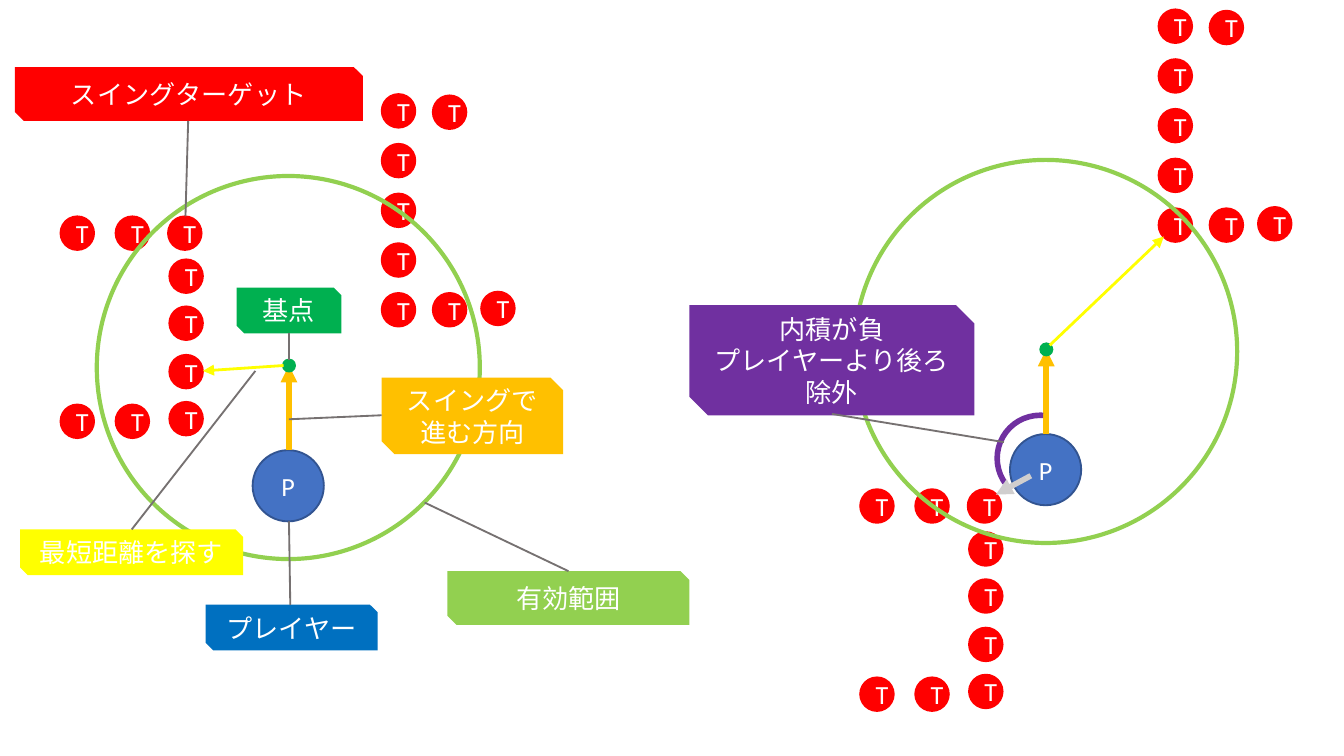
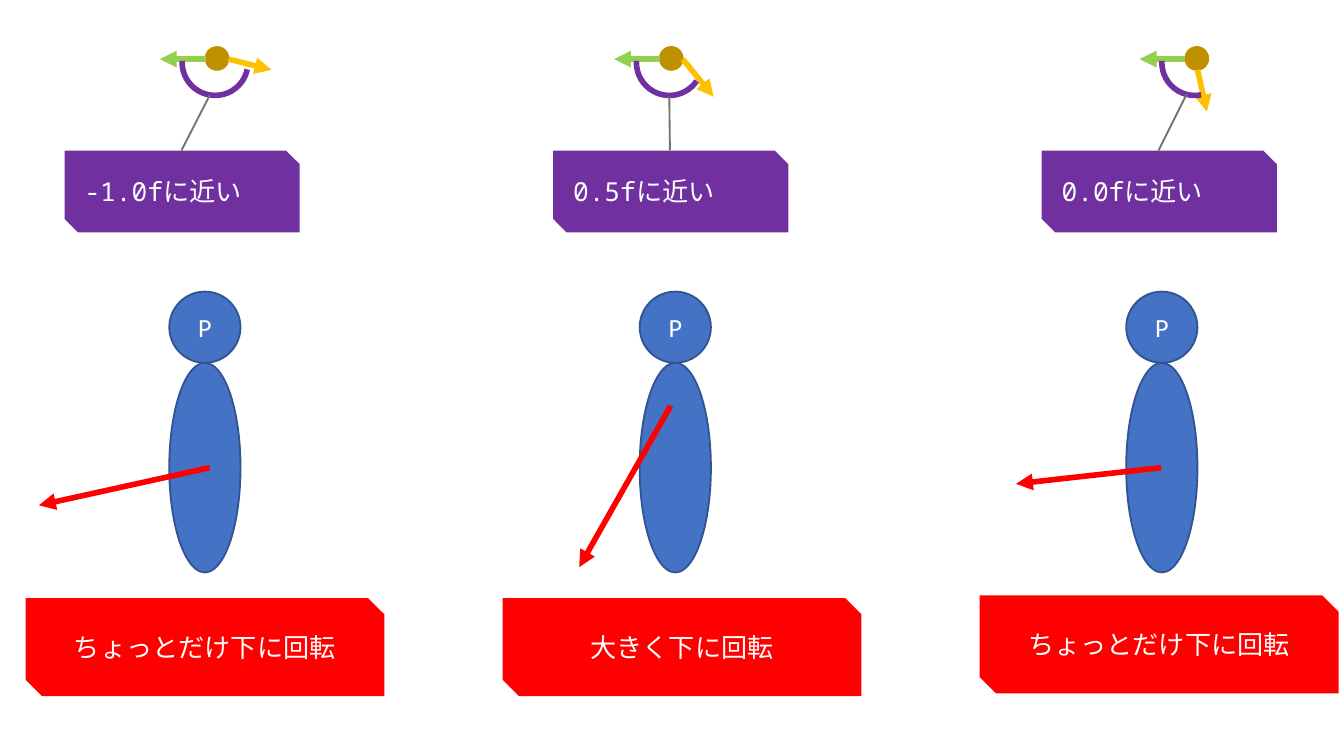
import pptx
import pptx.util
import pptx.dml.color
import pptx.enum.shapes
import pptx.enum.text
import pptx.oxml

PX = 4572  # EMU per px, 200 px to the inch
HUES = {
    "white": "FFFFFF", "blue": "4472C4", "navy": "325491", "red": "FF0000",
    "gold": "FFC000", "lime": "92D050", "green": "00B050", "yellow": "FFFF00",
    "azure": "0070C0", "purple": "7030A0", "gray": "767171",
    "silver": "D0CECE", "brown": "BF9000",
}
SHAPE = pptx.enum.shapes.MSO_SHAPE
ALIGN = pptx.enum.text.PP_ALIGN
SPACE = 'xmlns:a="http://schemas.openxmlformats.org/drawingml/2006/main"'


def hue(name):
    return pptx.dml.color.RGBColor.from_string(HUES[name])


class Board:
    """Holds the style and the current slide."""
    sans = "Calibri"
    mono = "Noto Sans Mono"
    size = 14

    def __init__(self, wide, high):
        self.deck = pptx.Presentation()
        self.deck.slide_width = wide * PX
        self.deck.slide_height = high * PX
        self.slide = None

    def page(self):
        self.slide = self.deck.slides.add_slide(self.deck.slide_layouts[6])

    def shape(self, kind, box, fill=None, edge=None, width=1):
        item = self.slide.shapes.add_shape(kind, *(v * PX for v in box))
        item.shadow.inherit = False
        if fill:
            item.fill.solid()
            item.fill.fore_color.rgb = hue(fill)
        else:
            item.fill.background()
        if edge:
            item.line.color.rgb = hue(edge)
            item.line.width = pptx.util.Pt(width)
        else:
            item.line.fill.background()
        return item

    def letter(self, item, text, font=None, align=ALIGN.CENTER):
        frame = item.text_frame
        frame.word_wrap = True
        frame.vertical_anchor = pptx.enum.text.MSO_ANCHOR.MIDDLE
        frame.text = text
        for para in frame.paragraphs:
            para.alignment = align
            para.font.name = font or self.sans
            para.font.size = pptx.util.Pt(self.size)
            para.font.color.rgb = hue("white")

    def disc(self, box, fill, edge, text="", width=1):
        item = self.shape(SHAPE.FLOWCHART_CONNECTOR, box, fill, edge, width)
        if text:
            self.letter(item, text)

    def label(self, box, fill, text, font=None, align=ALIGN.CENTER):
        item = self.shape(SHAPE.SNIP_2_DIAG_RECTANGLE, box, fill)
        self.letter(item, text, font, align)

    def arc(self, box, start, end):
        item = self.shape(SHAPE.ARC, box, None, "purple", 3)
        # Angles are stored in 60000ths of a degree, scaled by 100000
        item.adjustments[0] = start * 0.6
        item.adjustments[1] = end * 0.6

    def line(self, start, end, color="gray", width=1, arrow=False):
        item = self.slide.shapes.add_connector(
            pptx.enum.shapes.MSO_CONNECTOR.STRAIGHT,
            *(v * PX for v in (*start, *end)))
        item.line.color.rgb = hue(color)
        item.line.width = pptx.util.Pt(width)
        props = item._element.spPr
        if arrow:
            tip = pptx.oxml.parse_xml(f'<a:tailEnd {SPACE} type="triangle"/>')
            props.ln.append(tip)
        props.append(pptx.oxml.parse_xml(f"<a:effectLst {SPACE}/>"))

    def arrow(self, start, end, color, width=3):
        self.line(start, end, color, width, True)

    def person(self, left, top):
        self.disc((left, top, 106, 106), "blue", "navy", "P")

    def targets(self, spots, dx, dy):
        for x, y in spots:
            self.disc((x + dx, y + dy, 50, 50), "red", "red", "T")


# Target groups: a bracket of nine and a hook of eight
BRACKET = [(252, y) for y in (386, 456, 528, 598)] + [
    (172, 602), (90, 602), (250, 322), (172, 322), (90, 322)]
HOOK = [(568, 436 - 74 * i) for i in range(5)] + [
    (644, 142), (644, 436), (716, 434)]


def scene(board, move, bracket, hook, seek):
    """Player, targets, range ring and the nearest-target arrow."""
    dx, dy = move
    board.person(376 + dx, 670 + dy)
    board.targets(BRACKET, *bracket)
    board.targets(HOOK, *hook)
    board.arrow((430 + dx, 670 + dy), (430 + dx, 544 + dy), "gold")
    board.disc((144 + dx, 262 + dy, 570, 570), None, "lime", width=2.25)
    board.disc((421 + dx, 535 + dy, 18, 18), "green", "green")
    board.arrow(*seek, "yellow", 1.5)


def swing(board):
    board.page()
    # Left scene with its labels
    scene(board, (0, 0), (0, 0), (0, 0), ((422, 544), (302, 552)))
    for box, fill, text in [
            ((306, 900, 256, 68), "azure", "プレイヤー"),
            ((22, 100, 518, 80), "red", "スイングターゲット"),
            ((568, 562, 270, 114), "gold", "スイングで進む方向"),
            ((352, 428, 156, 68), "green", "基点"),
            ((30, 788, 332, 68), "yellow", "最短距離を探す"),
            ((666, 850, 360, 80), "lime", "有効範囲")]:
        board.label(box, fill, text)
    for start, end in [
            ((568, 618), (430, 624)), ((430, 776), (432, 900)),
            ((380, 552), (196, 788)), ((276, 322), (280, 180)),
            ((430, 536), (430, 496)), ((846, 850), (632, 748))]:
        board.line(start, end)

    # Right scene with the excluded angle
    scene(board, (1127, -24), (1190, 406), (1156, -126),
          ((1562, 514), (1732, 352)))
    board.arc((1484, 618, 128, 128), 145.16, 274.01)
    board.label((1026, 454, 424, 164), "purple",
                "内積が負\nプレイヤーより後ろ除外")
    board.line((1494, 658), (1238, 616))
    board.arrow((1534, 708), (1482, 736), "silver")


# Each case: body left, hub left, gold arrow, arc start, value,
# leader end, red arrow, note top, note text
CASES = [
    (252, 306, ((340, 88), (404, 104)), 12.16, "-1.0f", (312, 142),
     ((312, 696), (58, 752)), 890, "ちょっとだけ下に回転"),
    (952, 982, ((1016, 88), (1062, 144)), 34.09, "0.5f", (996, 144),
     ((998, 604), (862, 844)), 890, "大きく下に回転"),
    (1676, 1764, ((1782, 104), (1796, 166)), 78.94, "0.0f", (1766, 140),
     ((1728, 696), (1512, 720)), 886, "ちょっとだけ下に回転"),
]


def turn(board):
    board.page()
    for i, case in enumerate(CASES):
        body, hub, aim, angle, value, lead, tilt, top, note = case
        # Player
        board.disc((body, 540, 106, 312), "blue", "navy")
        board.person(body, 434)
        # Hub and the angle between its arrows
        board.disc((hub, 70, 34, 34), "brown", "brown")
        board.arrow(*aim, "gold")
        board.arrow((hub, 88), (hub - 68, 88), "lime")
        board.arc((hub - 35, 44, 98, 98), angle, 182.88)
        # Value and resulting turn
        left = 96 + 727 * i
        board.label((left, 224, 350, 122), "purple", value + "に近い",
                    board.mono, ALIGN.LEFT)
        board.line((left + 174, 224), lead)
        board.arrow(*tilt, "red")
        board.label((38 + 710 * i, top, 534, 146), "red", note, board.mono)


def main():
    board = Board(2000, 1125)
    swing(board)
    turn(board)
    board.deck.save("out.pptx")


if __name__ == "__main__":
    main()
